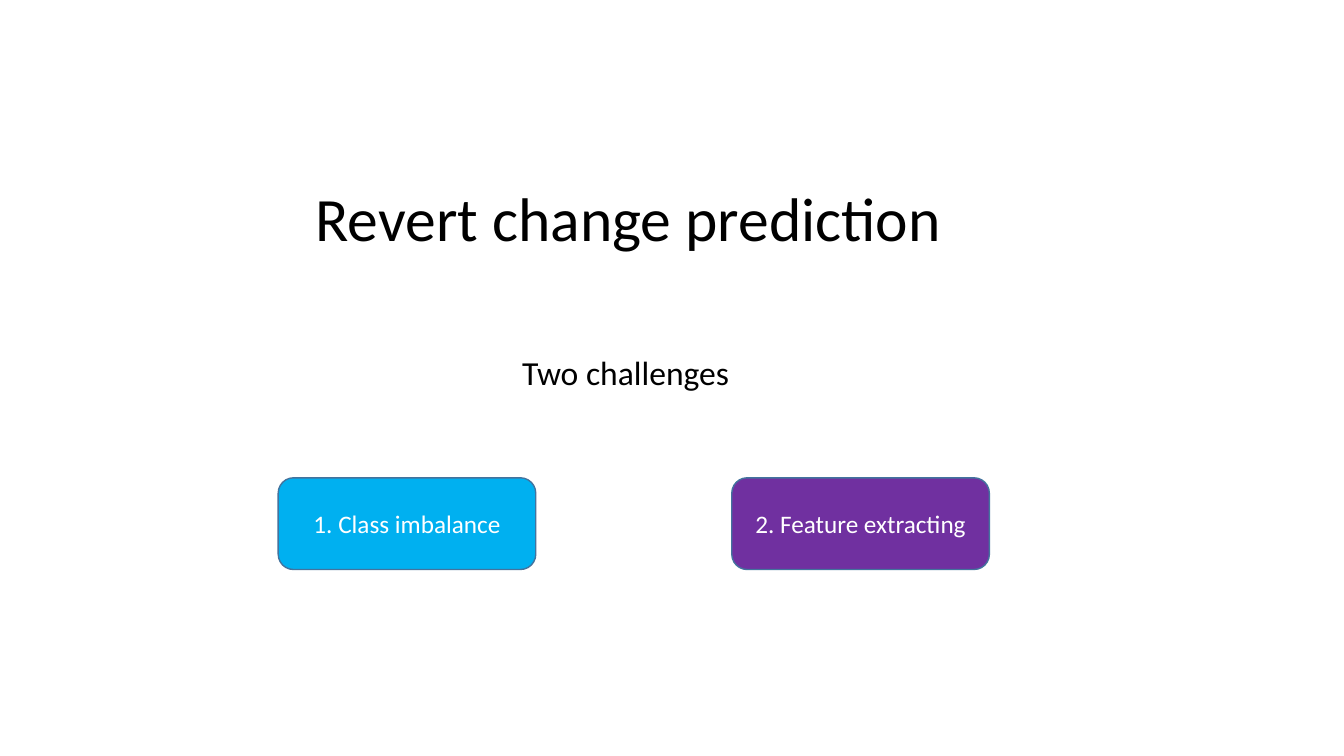
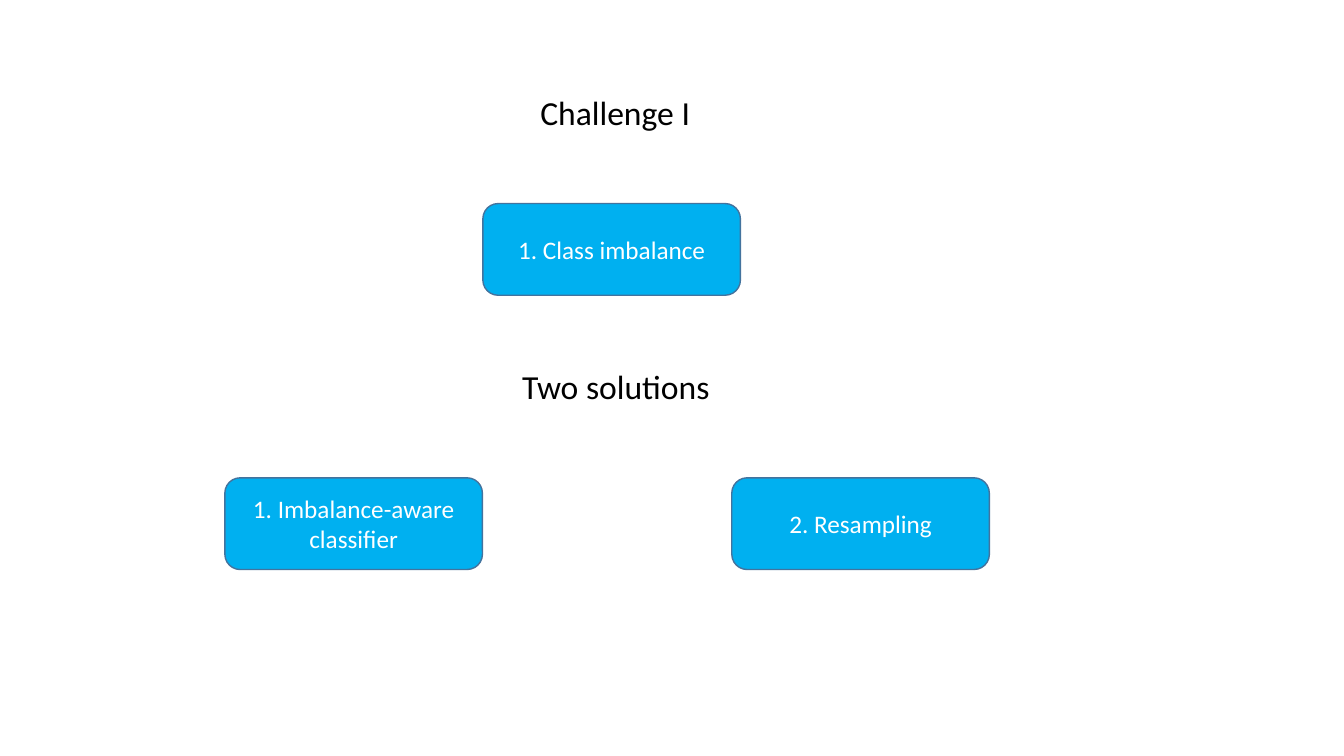
from pptx import Presentation
from pptx.dml.color import RGBColor
from pptx.enum.shapes import MSO_SHAPE
from pptx.enum.text import MSO_ANCHOR, MSO_AUTO_SIZE, PP_ALIGN
from pptx.util import Pt

ROUNDED = MSO_SHAPE.ROUNDED_RECTANGLE
TOP, MIDDLE = MSO_ANCHOR.TOP, MSO_ANCHOR.MIDDLE
LEFT, CENTER = PP_ALIGN.LEFT, PP_ALIGN.CENTER
NO_FIT, GROW = MSO_AUTO_SIZE.NONE, MSO_AUTO_SIZE.SHAPE_TO_FIT_TEXT

FONT = "Calibri"
BLACK, WHITE = "000000", "FFFFFF"
BLUE, PURPLE, OUTLINE = "00B0F0", "7030A0", "43739E"
TITLE_SIZE, HEADING_SIZE, CARD_SIZE = 44, 24, 18
HEADING_WIDTH, HEADING_HEIGHT = 327.6, 36
CARD_WIDTH, CARD_HEIGHT = 184, 65.5
CARD_ROW_TOP, RIGHT_CARD_LEFT = 341.3, 522.7
TITLE_ONLY = 5


def color(value):
    return RGBColor.from_string(value)


def write(shape, text, size, ink, align=LEFT, anchor=TOP, fit=NO_FIT, spacing=1.0):
    frame = shape.text_frame
    frame.word_wrap = True
    frame.auto_size = fit
    frame.vertical_anchor = anchor
    para = frame.paragraphs[0]
    para.alignment = align
    para.line_spacing = spacing
    span = para.add_run()
    span.text = text
    span.font.name = FONT
    span.font.size = Pt(size)
    span.font.color.rgb = color(ink)


def place_title(page, box, text, size, **style):
    title = page.shapes.title
    title.left, title.top, title.width, title.height = map(Pt, box)
    write(title, text, size, BLACK, **style)


def add_heading(page, left, top, text):
    heading = page.shapes.add_textbox(
        Pt(left), Pt(top), Pt(HEADING_WIDTH), Pt(HEADING_HEIGHT))
    write(heading, text, HEADING_SIZE, BLACK, fit=GROW)


def add_card(page, left, top, text, fill=BLUE):
    card = page.shapes.add_shape(
        ROUNDED, Pt(left), Pt(top), Pt(CARD_WIDTH), Pt(CARD_HEIGHT))
    card.shadow.inherit = False
    card.fill.solid()
    card.fill.fore_color.rgb = color(fill)
    card.line.color.rgb = color(OUTLINE)
    card.line.width = Pt(1)
    write(card, text, CARD_SIZE, WHITE, align=CENTER, anchor=MIDDLE)


def add_page(deck):
    return deck.slides.add_slide(deck.slide_layouts[TITLE_ONLY])


def add_overview(deck):
    page = add_page(deck)
    place_title(page, (218.2, 105.8, 499.7, 104.4), "Revert change prediction",
                TITLE_SIZE, anchor=MIDDLE, spacing=0.9)
    add_heading(page, 365.8, 247.7, "Two challenges")
    add_card(page, 198.7, CARD_ROW_TOP, "1. Class imbalance")
    add_card(page, RIGHT_CARD_LEFT, CARD_ROW_TOP, "2. Feature extracting", PURPLE)


def add_challenge(deck):
    page = add_page(deck)
    place_title(page, (378.7, 61.9, HEADING_WIDTH, HEADING_HEIGHT), "Challenge I",
                HEADING_SIZE)
    add_card(page, 344.9, 145.4, "1. Class imbalance")
    add_heading(page, 365.8, 257.8, "Two solutions")
    add_card(page, 160.6, CARD_ROW_TOP, "1. Imbalance-aware classifier")
    add_card(page, RIGHT_CARD_LEFT, CARD_ROW_TOP, "2. Resampling")


def main():
    deck = Presentation()
    deck.slide_width, deck.slide_height = Pt(960), Pt(540)
    add_overview(deck)
    add_challenge(deck)
    deck.save("out.pptx")


if __name__ == "__main__":
    main()
